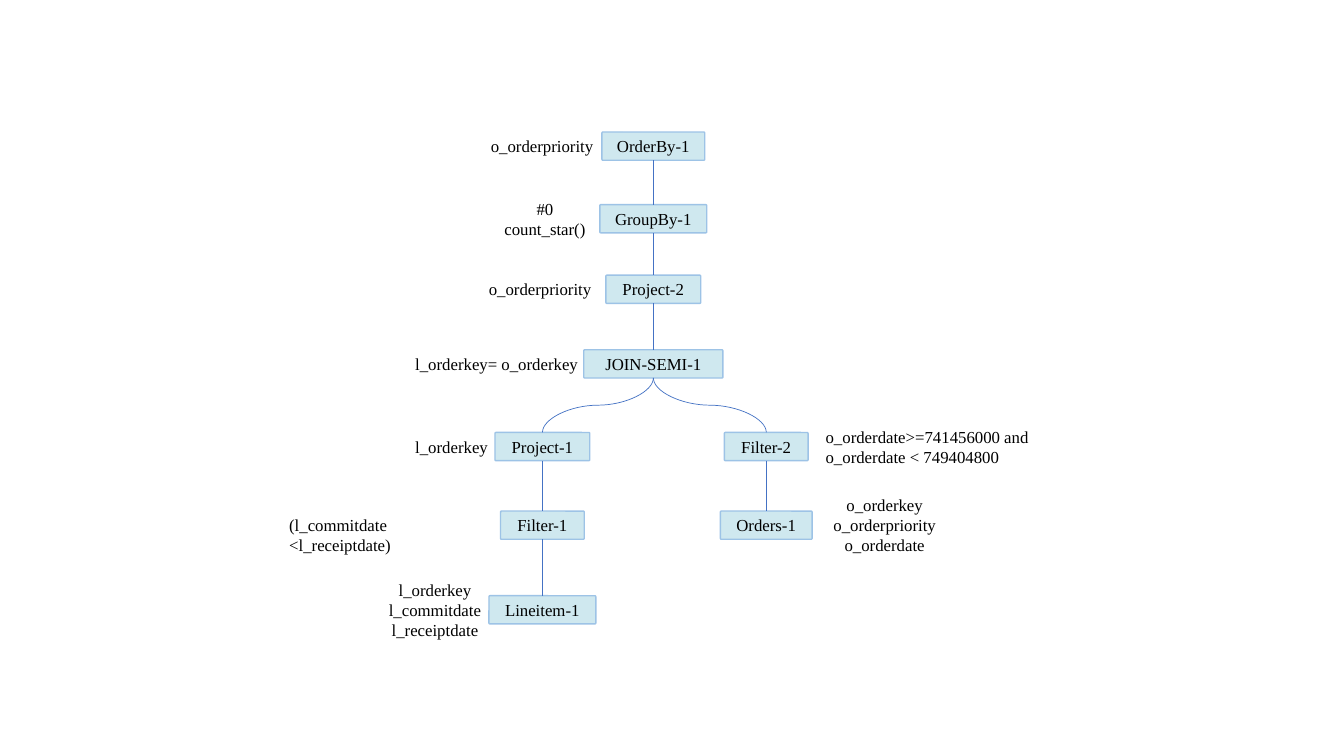
import pptx
import pptx.dml.color
import pptx.enum.shapes
import pptx.enum.text
import pptx.oxml.ns
import pptx.util
from collections import namedtuple

Inches = pptx.util.Inches
Align = pptx.enum.text.PP_ALIGN
RGBColor = pptx.dml.color.RGBColor
Connector = pptx.enum.shapes.MSO_CONNECTOR

NODE_FILL = RGBColor(0xCF, 0xE8, 0xEF)
NODE_LINE = RGBColor(0x9D, 0xC3, 0xE6)
EDGE_LINE = RGBColor(0x44, 0x72, 0xC4)
TEXT = RGBColor(0x00, 0x00, 0x00)
FONT = "Times New Roman"

# Grid of the plan tree, in inches from the corner of its region
REGION = (2.75, 1.3)
LEFT, TRUNK, RIGHT = 2.63, 3.73, 4.85
ROWS = (0.01, 0.73, 1.43, 2.17, 2.99, 3.77, 4.61)
NODE_HEIGHT = 0.28
LINE_HEIGHT, PADDING = 0.2, 0.1
TOP_SITE, BOTTOM_SITE = 0, 2

Node = namedtuple("Node", "name column row width parent")
Label = namedtuple("Label", "paragraphs left row width lines align")

NODES = (
    Node("OrderBy-1", TRUNK, 0, 1.02, None),
    Node("GroupBy-1", TRUNK, 1, 1.06, "OrderBy-1"),
    Node("Project-2", TRUNK, 2, 0.94, "GroupBy-1"),
    Node("JOIN-SEMI-1", TRUNK, 3, 1.38, "Project-2"),
    Node("Project-1", LEFT, 4, 0.94, "JOIN-SEMI-1"),
    Node("Filter-1", LEFT, 5, 0.83, "Project-1"),
    Node("Lineitem-1", LEFT, 6, 1.06, "Filter-1"),
    Node("Filter-2", RIGHT, 4, 0.83, "JOIN-SEMI-1"),
    Node("Orders-1", RIGHT, 5, 0.91, "Filter-2"),
)

LABELS = (
    Label(["o_orderpriority"], 2.02, 0, 1.26, 1, Align.LEFT),
    Label(["#0", "count_star()"], 2.13, 1, 1.05, 2, Align.CENTER),
    Label(["o_orderpriority"], 2.0, 2, 1.3, 1, Align.LEFT),
    Label(["l_orderkey= o_orderkey"], 1.27, 3, 1.93, 1, Align.LEFT),
    Label(["l_orderkey"], 1.27, 4, 0.93, 1, Align.LEFT),
    Label(["(l_commitdate <l_receiptdate)"], 0.02, 5, 2.2, 1, Align.LEFT),
    Label(["l_orderkey l_commitdate", "l_receiptdate"], 0.98, 6, 1.17, 3, Align.CENTER),
    Label(["o_orderdate>=741456000 and", "o_orderdate < 749404800"],
          5.34, 4, 2.29, 2, Align.LEFT),
    Label(["o_orderkey", "o_orderpriority", "o_orderdate"],
          5.34, 5, 1.37, 3, Align.CENTER),
)


def write(frame, paragraphs, align):
    frame.word_wrap = True
    frame.text = "\n".join(paragraphs)
    for para in frame.paragraphs:
        para.alignment = align
        para.font.name = FONT
        para.font.size = pptx.util.Pt(12)
        para.font.color.rgb = TEXT


def add_node(page, region, node):
    left, top = region
    box = page.shapes.add_shape(
        pptx.enum.shapes.MSO_SHAPE.ROUNDED_RECTANGLE,
        Inches(left + node.column - node.width / 2), Inches(top + ROWS[node.row]),
        Inches(node.width), Inches(NODE_HEIGHT))
    box.adjustments[0] = 0.036
    box.shadow.inherit = False
    box.fill.solid()
    box.fill.fore_color.rgb = NODE_FILL
    box.line.color.rgb = NODE_LINE
    box.line.width = pptx.util.Pt(1)
    frame = box.text_frame
    frame.margin_left = frame.margin_right = 0
    frame.vertical_anchor = pptx.enum.text.MSO_ANCHOR.MIDDLE
    write(frame, [node.name], Align.CENTER)
    return box


def turn_downward(edge):
    """Turn a curved edge so that it leaves and arrives vertically."""
    across, down = edge.end_x - edge.begin_x, edge.end_y - edge.begin_y
    middle_x, middle_y = edge.begin_x + across // 2, edge.begin_y + down // 2
    edge.left, edge.top = middle_x - down // 2, middle_y - abs(across) // 2
    edge.width, edge.height = down, abs(across)
    frame = edge._element.spPr.find(pptx.oxml.ns.qn("a:xfrm"))
    frame.set("rot", str((90 if across < 0 else 270) * 60000))
    frame.set("flipH", "0" if across < 0 else "1")


def add_edge(page, parent, child, curved):
    kind = Connector.CURVE if curved else Connector.STRAIGHT
    edge = page.shapes.add_connector(kind, 0, 0, 0, 0)
    edge.begin_connect(parent, BOTTOM_SITE)
    edge.end_connect(child, TOP_SITE)
    if curved:
        turn_downward(edge)
    edge.line.color.rgb = EDGE_LINE
    edge.line.width = pptx.util.Pt(0.5)
    properties = edge._element.spPr
    properties.append(properties.makeelement(pptx.oxml.ns.qn("a:effectLst"), {}))


def add_label(page, region, label):
    left, top = region
    height = PADDING + LINE_HEIGHT * label.lines
    middle = top + ROWS[label.row] + NODE_HEIGHT / 2
    box = page.shapes.add_textbox(
        Inches(left + label.left), Inches(middle - height / 2),
        Inches(label.width), Inches(height))
    write(box.text_frame, label.paragraphs, label.align)


def add_plan_tree(page, region):
    # Operators
    boxes = {node.name: add_node(page, region, node) for node in NODES}
    columns = {node.name: node.column for node in NODES}
    # Edges from each operator to its inputs
    for node in NODES:
        if node.parent:
            curved = columns[node.parent] != node.column
            add_edge(page, boxes[node.parent], boxes[node.name], curved)
    # Expressions beside the operators
    for label in LABELS:
        add_label(page, region, label)


def main():
    deck = pptx.Presentation()
    deck.slide_width, deck.slide_height = Inches(13.33), Inches(7.5)
    page = deck.slides.add_slide(deck.slide_layouts[6])
    add_plan_tree(page, REGION)
    deck.save("out.pptx")


if __name__ == "__main__":
    main()
